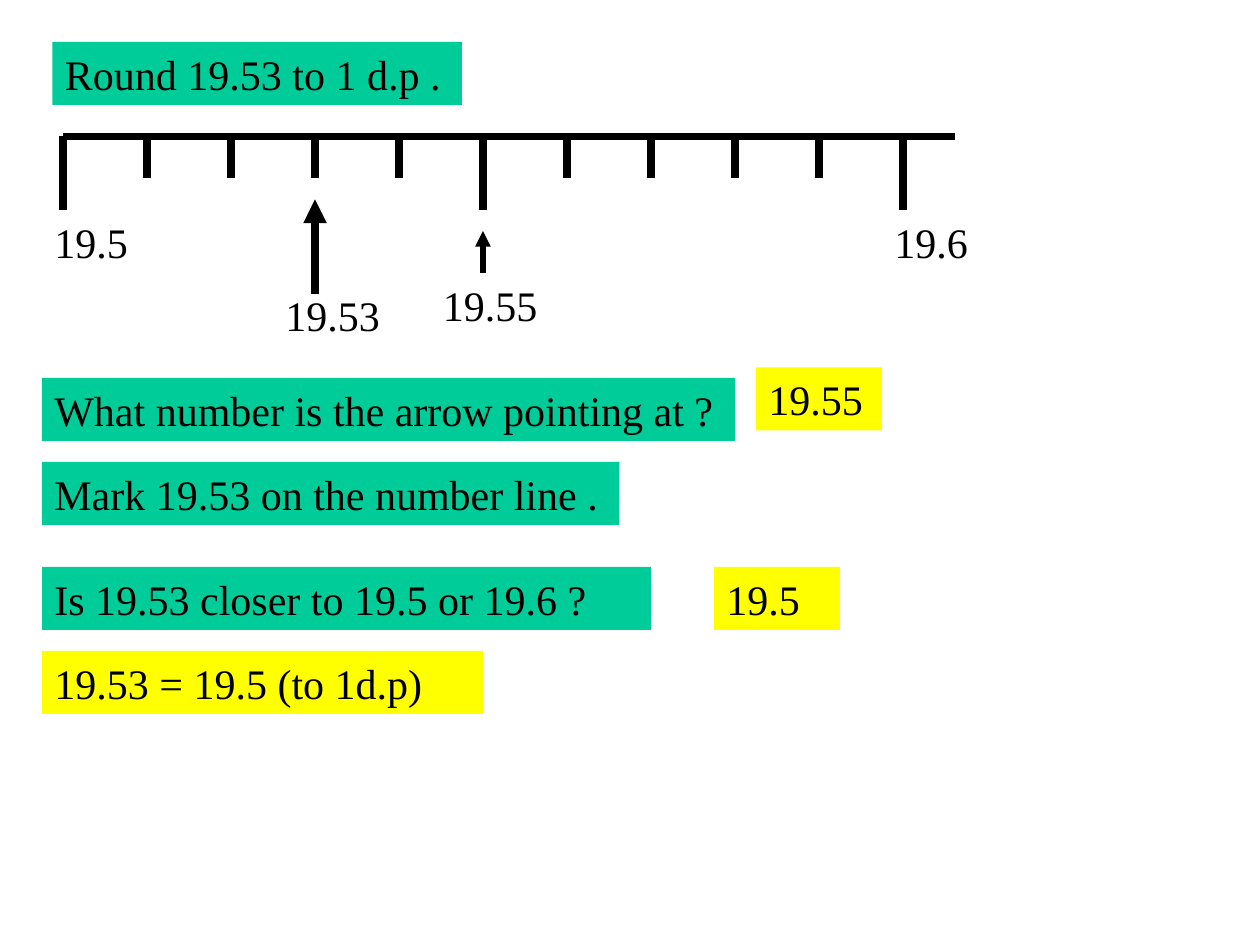
from pptx import Presentation
from pptx.dml.color import RGBColor
from pptx.enum import shapes, text
from pptx.oxml import ns
from pptx import util as u
from lxml import etree

PX = 7620
COLORS = {"ink": "000000", "question": "00CC99", "answer": "FFFF00"}
ROW = 60


def px(n):
    return u.Emu(n * PX)


def rgb(name):
    return RGBColor.from_string(COLORS[name])


def add_text(s, words, x, y, w, fill=None, size=24, font="Times New Roman"):
    box = [px(n) for n in (x, y, w, ROW)]
    if fill:
        sp = s.shapes.add_shape(shapes.MSO_SHAPE.RECTANGLE, *box)
        sp.shadow.inherit = False
        sp.fill.solid()
        sp.fill.fore_color.rgb = rgb(fill)
        sp.line.fill.background()
    else:
        sp = s.shapes.add_textbox(*box)
    tf = sp.text_frame
    tf.word_wrap = True
    tf.vertical_anchor = text.MSO_ANCHOR.TOP
    p = tf.paragraphs[0]
    p.alignment = text.PP_ALIGN.LEFT
    r = p.add_run()
    r.text = words
    r.font.size = u.Pt(size)
    r.font.name = font
    r.font.color.rgb = rgb("ink")


def add_line(s, x1, y1, x2, y2, width=4.5, arrow=False):
    c = s.shapes.add_connector(shapes.MSO_CONNECTOR.STRAIGHT, px(x1), px(y1), px(x2), px(y2))
    c.line.width = u.Pt(width)
    c.line.color.rgb = rgb("ink")
    if arrow:
        etree.SubElement(c.line._get_or_add_ln(), ns.qn("a:tailEnd"), type="triangle")
    etree.SubElement(c._element.spPr, ns.qn("a:effectLst"))


def number_line(s, x, y, w, step=80):
    add_line(s, x, y, x + w, y)
    for i in range(11):
        tick = 40 if i % 5 else 70
        add_line(s, x + i * step, y, x + i * step, y + tick)
    add_text(s, "19.5", x - 20, y + 70, 110)
    add_text(s, "19.6", x + 10 * step - 20, y + 70, 100)
    add_line(s, x + 3 * step, y + 150, x + 3 * step, y + 60, arrow=True)
    add_text(s, "19.53", x + 200, y + 140, 120)
    add_line(s, x + 5 * step, y + 130, x + 5 * step, y + 90, width=3, arrow=True)
    add_text(s, "19.55", x + 350, y + 130, 130)


def questions(s, x, y):
    add_text(s, "What number is the arrow pointing at ?", x, y, 660, fill="question")
    add_text(s, "19.55", x + 680, y - 10, 120, fill="answer")
    add_text(s, "Mark 19.53 on the number line .", x, y + 80, 550, fill="question")
    add_text(s, "Is 19.53 closer to 19.5 or 19.6 ?", x, y + 180, 580, fill="question")
    add_text(s, "19.5", x + 640, y + 180, 120, fill="answer")
    add_text(s, "19.53 = 19.5 (to 1d.p)", x, y + 260, 420, fill="answer")


def main():
    prs = Presentation()
    prs.slide_width, prs.slide_height = px(1200), px(900)
    s = prs.slides.add_slide(prs.slide_layouts[6])
    add_text(s, "Round 19.53 to 1 d.p .", 50, 40, 390, fill="question")
    number_line(s, 60, 130, 850)
    questions(s, 40, 360)
    prs.save("out.pptx")


if __name__ == "__main__":
    main()
